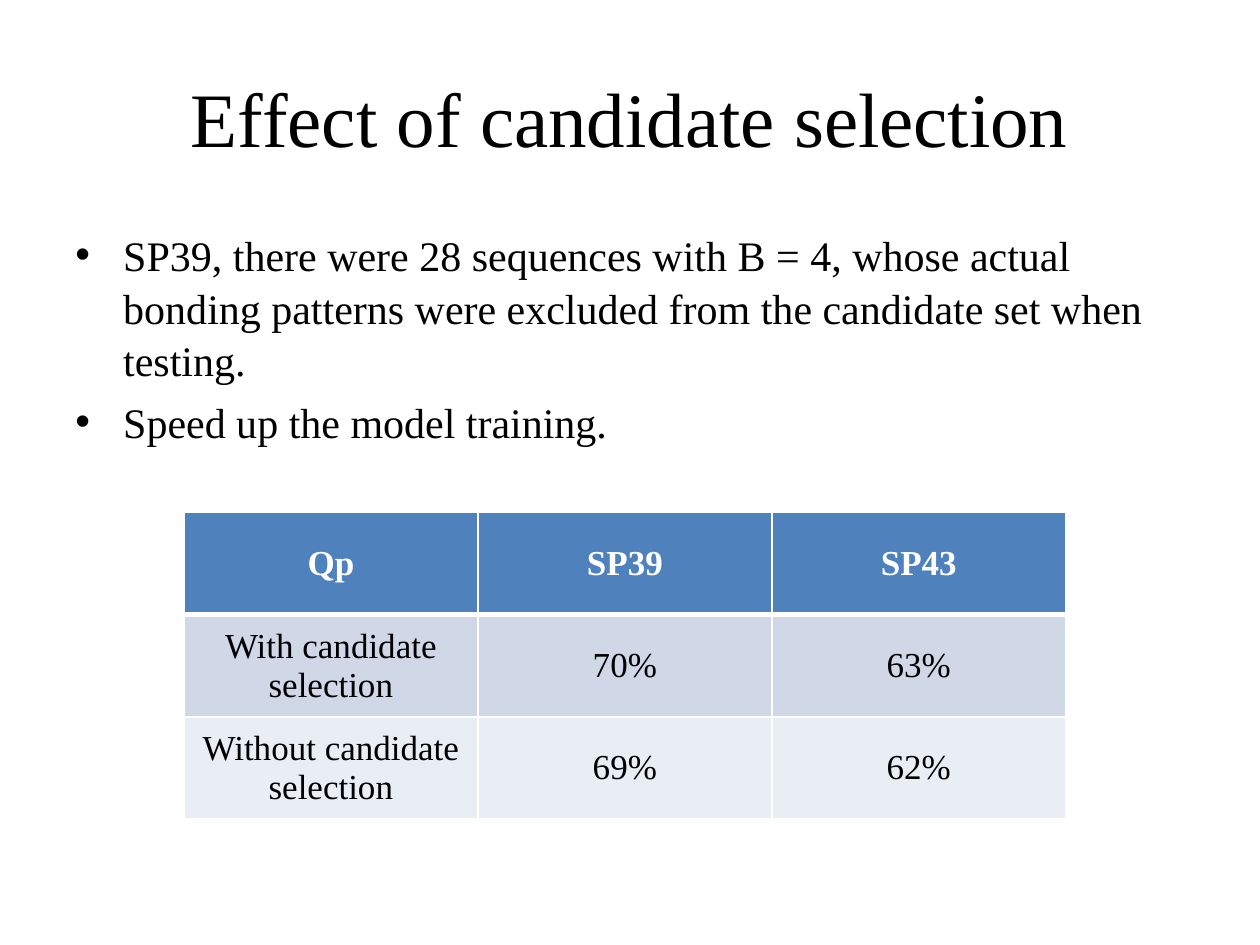
import pptx
import pptx.dml.color
import pptx.enum.text
import pptx.oxml.ns
import pptx.util
from lxml import etree

RGB = pptx.dml.color.RGBColor
BLACK, WHITE = RGB(0, 0, 0), RGB(255, 255, 255)
HEADER, BAND_DARK, BAND_LIGHT = RGB(0x4F, 0x81, 0xBD), RGB(0xD0, 0xD8, 0xE8), RGB(0xE9, 0xED, 0xF4)
FONT = "Times New Roman"
SLIDE_W, SLIDE_H = pptx.util.Inches(10), pptx.util.Inches(7.5)
CENTER = pptx.enum.text.PP_ALIGN.CENTER
MIDDLE = pptx.enum.text.MSO_ANCHOR.MIDDLE

TITLE = "Effect of candidate selection"
POINTS = [
    "SP39, there were 28 sequences with B = 4, whose actual bonding patterns "
    "were excluded from the candidate set when testing.",
    "Speed up the model training.",
]
RESULTS = [
    ["Qp", "SP39", "SP43"],
    ["With candidate selection", "70%", "63%"],
    ["Without candidate selection", "69%", "62%"],
]


def share(x, y, w, h):
    """Turn shares of the slide's size into a box."""
    return int(x * SLIDE_W), int(y * SLIDE_H), int(w * SLIDE_W), int(h * SLIDE_H)


def write(p, text, size, color=BLACK, bold=False):
    """Add a formatted run to a paragraph."""
    r = p.add_run()
    r.text = text
    for name, value in {"name": FONT, "size": pptx.util.Pt(size), "bold": bold}.items():
        setattr(r.font, name, value)
    r.font.color.rgb = color


def text_frame(s, box, anchor):
    """Add a wrapping text box and return its frame."""
    tf = s.shapes.add_textbox(*box).text_frame
    for name, value in {"word_wrap": True, "vertical_anchor": anchor}.items():
        setattr(tf, name, value)
    return tf


def add_title(s, box):
    """Place the centred title."""
    p = text_frame(s, box, MIDDLE).paragraphs[0]
    p.alignment = CENTER
    write(p, TITLE, 44)


def add_points(s, box):
    """Place the bulleted points."""
    tf = text_frame(s, box, pptx.enum.text.MSO_ANCHOR.TOP)
    indent = pptx.util.Inches(0.38)
    for i, text in enumerate(POINTS):
        p = tf.add_paragraph() if i else tf.paragraphs[0]
        p.line_spacing = 1.05
        if i:
            p.space_before = pptx.util.Pt(4.8)
        pPr = p._p.get_or_add_pPr()
        pPr.set("marL", str(indent))
        pPr.set("indent", str(-indent))
        etree.SubElement(pPr, pptx.oxml.ns.qn("a:buFont"), typeface="Arial")
        etree.SubElement(pPr, pptx.oxml.ns.qn("a:buChar"), char="•")
        write(p, text, 24)


def add_borders(cell, widths):
    """Draw white cell borders with the given widths in points."""
    tcPr = cell._tc.get_or_add_tcPr()
    for side, width in widths.items():
        ln = etree.SubElement(tcPr, pptx.oxml.ns.qn(f"a:ln{side}"), w=str(pptx.util.Pt(width)))
        fill = etree.SubElement(ln, pptx.oxml.ns.qn("a:solidFill"))
        etree.SubElement(fill, pptx.oxml.ns.qn("a:srgbClr"), val=str(WHITE))


def add_results(s, box):
    """Place the results table with equal rows and columns."""
    table = s.shapes.add_table(len(RESULTS), len(RESULTS[0]), *box).table
    for i, (row, color) in enumerate(zip(RESULTS, (HEADER, BAND_DARK, BAND_LIGHT))):
        for j, text in enumerate(row):
            cell = table.cell(i, j)
            add_borders(cell, {"L": 1, "R": 1, "T": 3 if i == 1 else 1, "B": 3 if i == 0 else 1})
            cell.fill.solid()
            cell.fill.fore_color.rgb = color
            cell.vertical_anchor = MIDDLE
            p = cell.text_frame.paragraphs[0]
            p.alignment = CENTER
            write(p, text, 20, BLACK if i else WHITE, i == 0)


def main():
    """Build the slide and save it."""
    prs = pptx.Presentation()
    prs.slide_width, prs.slide_height = SLIDE_W, SLIDE_H
    s = prs.slides.add_slide(prs.slide_layouts[6])
    add_title(s, share(0.05, 0.04, 0.9, 1 / 6))
    add_points(s, share(0.05, 7 / 30, 0.9, 0.66))
    add_results(s, share(0.146, 0.542, 0.7, 0.325))
    prs.save("out.pptx")


if __name__ == "__main__":
    main()
